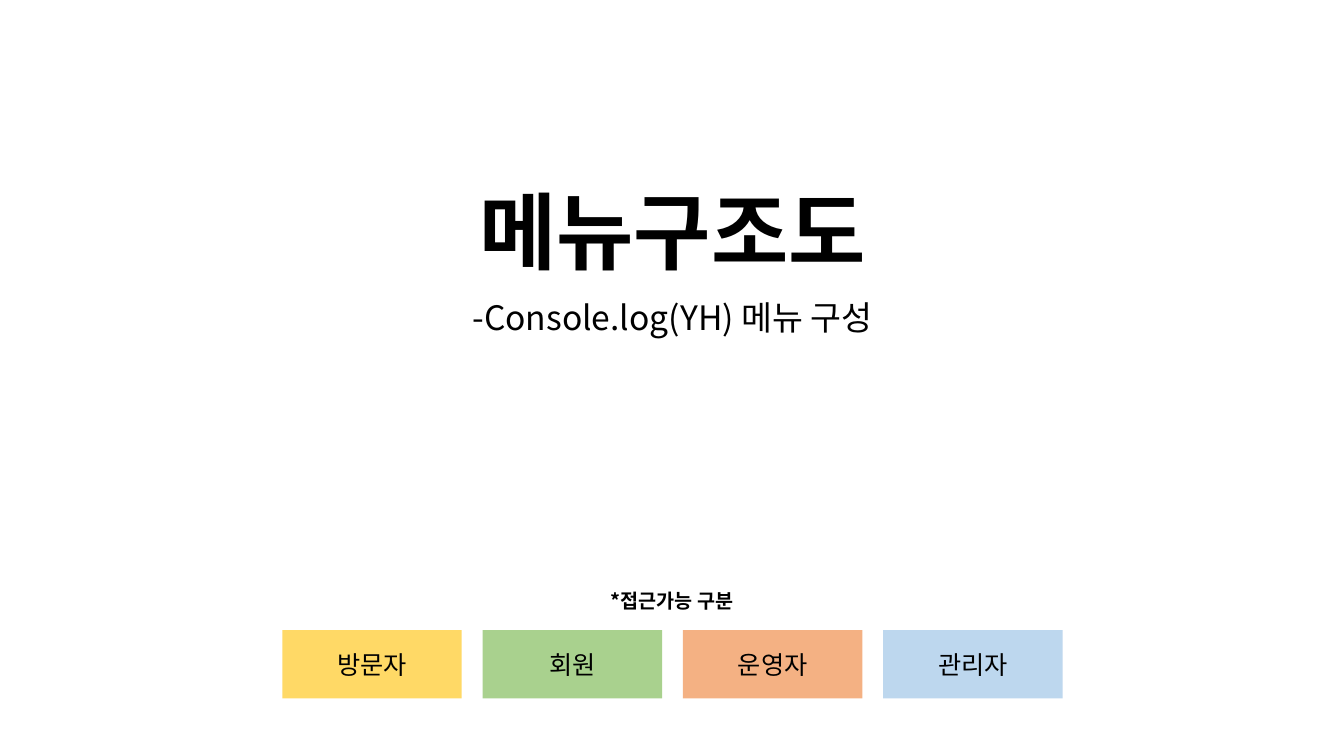
from dataclasses import dataclass

from lxml.etree import SubElement
from pptx import Presentation
from pptx.dml.color import RGBColor
from pptx.enum.shapes import MSO_SHAPE
from pptx.enum.text import MSO_ANCHOR, PP_ALIGN
from pptx.oxml.ns import qn
from pptx.util import Inches, Pt


@dataclass(frozen=True)
class Theme:
    font: str = "Noto Sans CJK KR"
    ink: str = "000000"
    visitor: str = "FFD966"
    member: str = "A9D18E"
    operator: str = "F4B183"
    admin: str = "BDD7EE"
    title_size: int = 60
    subtitle_size: int = 24
    role_size: int = 18
    note_size: int = 14


class SlideBuilder:
    def __init__(self, page, theme):
        self.page = page
        self.theme = theme

    def fill_text(self, box, text, size, bold=False, anchor=MSO_ANCHOR.TOP, **spacing):
        frame = box.text_frame
        frame.word_wrap = True
        frame.vertical_anchor = anchor
        para = frame.paragraphs[0]
        for name, value in {"alignment": PP_ALIGN.CENTER, **spacing}.items():
            setattr(para, name, value)
        span = para.add_run()
        span.text = text
        styles = {"name": self.theme.font, "size": Pt(size), "bold": bold}
        for name, value in styles.items():
            setattr(span.font, name, value)
        span.font.color.rgb = RGBColor.from_string(self.theme.ink)
        # Hangul takes the East Asian typeface
        SubElement(span._r.get_or_add_rPr(), qn("a:ea"), typeface=self.theme.font)

    def add_text(self, shapes, place, text, size, **styles):
        box = shapes.add_textbox(*map(Inches, place))
        self.fill_text(box, text, size, line_spacing=0.9, **styles)

    def add_role(self, shapes, place, text, color):
        box = shapes.add_shape(MSO_SHAPE.RECTANGLE, *map(Inches, place))
        box.shadow.inherit = False
        box.fill.solid()
        box.fill.fore_color.rgb = RGBColor.from_string(color)
        box.line.fill.background()
        self.fill_text(box, text, self.theme.role_size, anchor=MSO_ANCHOR.MIDDLE)


def main():
    deck = Presentation()
    deck.slide_width, deck.slide_height = Inches(13.33), Inches(7.5)
    page = deck.slides.add_slide(deck.slide_layouts[6])
    theme = Theme()
    builder = SlideBuilder(page, theme)

    # Title and subtitle
    builder.add_text(page.shapes, (1.67, 0.23, 10, 2.61), "메뉴구조도",
                     theme.title_size, bold=True, anchor=MSO_ANCHOR.BOTTOM)
    builder.add_text(page.shapes, (1.67, 2.94, 10, 1.81), "-Console.log(YH) 메뉴 구성",
                     theme.subtitle_size, space_before=Pt(10))

    # Access legend: equal boxes spread over one row
    legend = page.shapes.add_group_shape().shapes
    roles = [("방문자", theme.visitor), ("회원", theme.member),
             ("운영자", theme.operator), ("관리자", theme.admin)]
    left, right, width = 2.8, 10.54, 1.78
    pitch = (right - left - width) / (len(roles) - 1)
    for index, (role, color) in enumerate(roles):
        builder.add_role(legend, (left + index * pitch, 6.25, width, 0.68), role, color)
    builder.add_text(legend, (5.65, 5.82, 2.03, 0.36), "*접근가능 구분",
                     theme.note_size, bold=True, space_before=Pt(10))

    deck.save("out.pptx")


if __name__ == "__main__":
    main()
